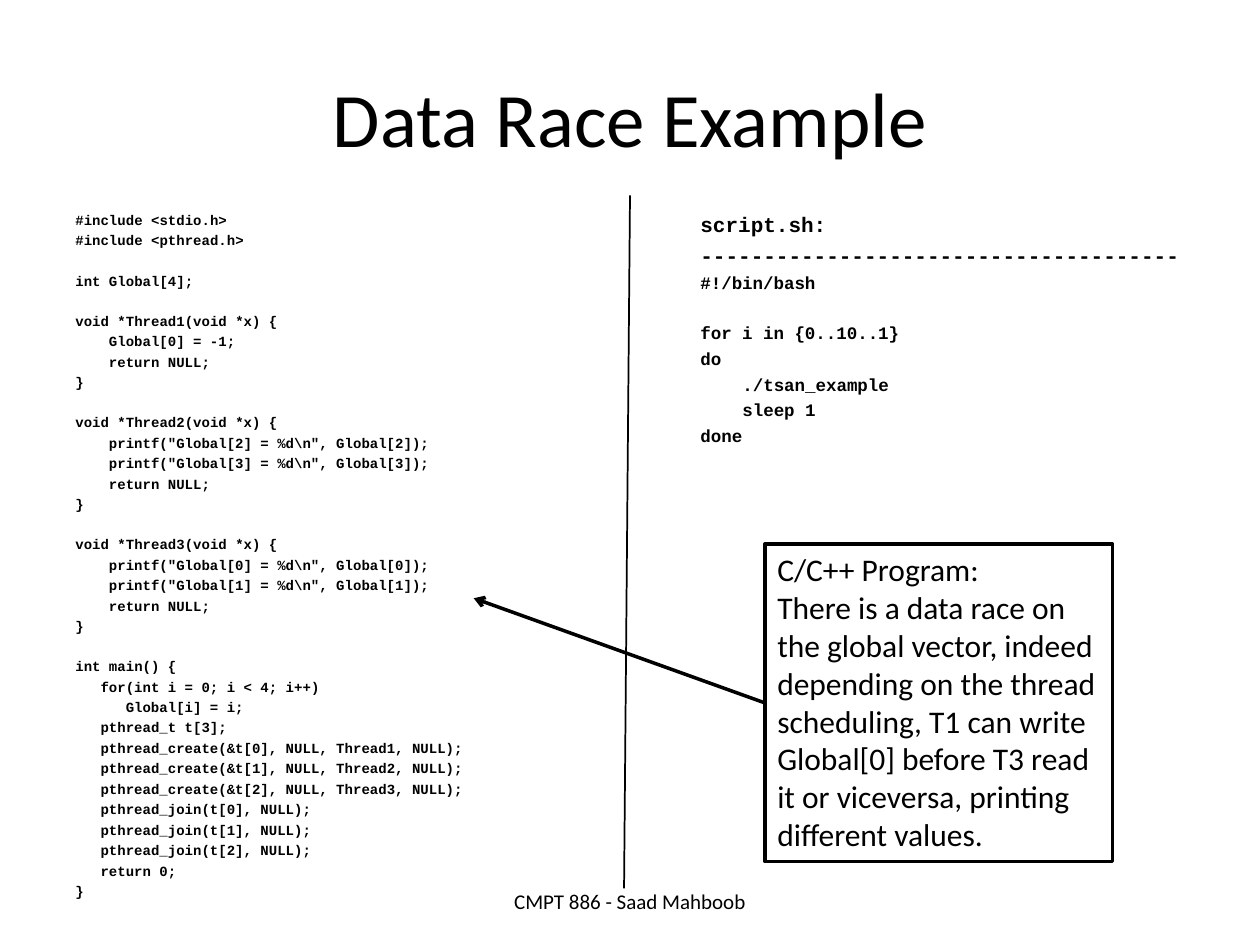
from dataclasses import dataclass
from lxml import etree
from pptx import Presentation
from pptx.dml.color import RGBColor
from pptx.enum.shapes import MSO_CONNECTOR, MSO_SHAPE
from pptx.enum.text import MSO_ANCHOR, MSO_AUTO_SIZE, PP_ALIGN
from pptx.oxml.ns import qn
from pptx.util import Cm, Pt

STRAIGHT = MSO_CONNECTOR.STRAIGHT
RECTANGLE = MSO_SHAPE.RECTANGLE
TOP, MIDDLE = MSO_ANCHOR.TOP, MSO_ANCHOR.MIDDLE
LEFT, CENTER = PP_ALIGN.LEFT, PP_ALIGN.CENTER
GROW = MSO_AUTO_SIZE.SHAPE_TO_FIT_TEXT
LEFT_SITE = 1


@dataclass(frozen=True)
class Theme:
    ink: RGBColor = RGBColor(0, 0, 0)
    prose: str = "Calibri"
    mono: str = "Courier New"
    title: float = 44
    note: float = 18
    footer: float = 12
    script_head: float = 12
    script: float = 10
    program: float = 8
    code_gap: float = 0.265
    code_line: float = 1.133
    code_char: float = 0.6


THEME = Theme()

PROGRAM = r"""#include <stdio.h>
#include <pthread.h>

int Global[4];

void *Thread1(void *x) {
    Global[0] = -1;
    return NULL;
}

void *Thread2(void *x) {
    printf("Global[2] = %d\n", Global[2]);
    printf("Global[3] = %d\n", Global[3]);
    return NULL;
}

void *Thread3(void *x) {
    printf("Global[0] = %d\n", Global[0]);
    printf("Global[1] = %d\n", Global[1]);
    return NULL;
}

int main() {
   for(int i = 0; i < 4; i++)
      Global[i] = i;
   pthread_t t[3];
   pthread_create(&t[0], NULL, Thread1, NULL);
   pthread_create(&t[1], NULL, Thread2, NULL);
   pthread_create(&t[2], NULL, Thread3, NULL);
   pthread_join(t[0], NULL);
   pthread_join(t[1], NULL);
   pthread_join(t[2], NULL);
   return 0;
}"""

SCRIPT_HEAD = "script.sh:\n" + "-" * 38

SCRIPT = """#!/bin/bash

for i in {0..10..1}
do
    ./tsan_example
    sleep 1
done"""

NOTE = (
    "C/C++ Program:",
    "There is a data race on the global vector, indeed depending on the thread "
    "scheduling, T1 can write Global[0] before T3 read it or viceversa, "
    "printing different values.",
)


def add_run(paragraph, text, size, font, bold=False):
    run = paragraph.add_run()
    run.text = text
    run.font.size = Pt(size)
    run.font.name = font
    run.font.bold = bold
    run.font.color.rgb = THEME.ink


def next_paragraph(frame):
    first = frame.paragraphs[0]
    return frame.add_paragraph() if first.runs else first


def add_frame(slide, box, anchor=TOP):
    frame = slide.shapes.add_textbox(*map(Cm, box)).text_frame
    frame.word_wrap = True
    frame.vertical_anchor = anchor
    return frame


def add_centred_line(slide, box, text, size):
    paragraph = add_frame(slide, box, MIDDLE).paragraphs[0]
    paragraph.alignment = CENTER
    add_run(paragraph, text, size, THEME.prose)


def add_code(frame, code, size):
    gap = size * THEME.code_gap
    skipped_line = size * THEME.code_line + gap
    for number, block in enumerate(code.split("\n\n")):
        for row, line in enumerate(block.split("\n")):
            statement = line.lstrip()
            depth = len(line) - len(statement)
            opens_block = number > 0 and row == 0
            paragraph = next_paragraph(frame)
            paragraph.space_before = Pt(gap + skipped_line * opens_block)
            if depth:
                indent = Pt(depth * size * THEME.code_char)
                paragraph._p.get_or_add_pPr().set("marL", str(indent))
            add_run(paragraph, statement, size, THEME.mono, bold=True)


def add_code_panel(slide, box, *sections):
    frame = add_frame(slide, box)
    for code, size in sections:
        add_code(frame, code, size)


def add_line(slide, start, end, width):
    line = slide.shapes.add_connector(STRAIGHT, *map(Cm, start + end))
    line.line.color.rgb = THEME.ink
    line.line.width = Pt(width)
    etree.SubElement(line._element.spPr, qn("a:effectLst"))
    return line


def add_note(slide, box, target):
    note = slide.shapes.add_shape(RECTANGLE, *map(Cm, box))
    note.shadow.inherit = False
    note.fill.background()
    note.line.color.rgb = THEME.ink
    note.line.width = Pt(2)
    frame = note.text_frame
    frame.word_wrap = True
    frame.auto_size = GROW
    frame.vertical_anchor = TOP
    for text in NOTE:
        paragraph = next_paragraph(frame)
        paragraph.alignment = LEFT
        add_run(paragraph, text, THEME.note, THEME.prose)

    left, top, _, height = box
    pointer = add_line(slide, (left, top + height / 2), target, 2)
    pointer.begin_connect(note, LEFT_SITE)
    etree.SubElement(pointer.line._get_or_add_ln(), qn("a:tailEnd"), type="arrow")


def build_slide(slide):
    add_centred_line(slide, (1.27, 0.76, 22.86, 3.18), "Data Race Example", THEME.title)
    add_code_panel(slide, (1.27, 4.14, 11.1, 12.57), (PROGRAM, THEME.program))
    add_code_panel(
        slide,
        (13.87, 4.14, 10.26, 13.77),
        (SCRIPT_HEAD, THEME.script_head),
        (SCRIPT, THEME.script),
    )
    add_line(slide, (12.7, 3.94), (12.58, 17.91), 1)
    add_note(slide, (15.42, 10.97, 7.01, 6.4), (9.55, 12.06))
    add_centred_line(slide, (8.68, 17.65, 8.04, 1.02), "CMPT 886 - Saad Mahboob", THEME.footer)


deck = Presentation()
deck.slide_width, deck.slide_height = Cm(25.4), Cm(19.05)
build_slide(deck.slides.add_slide(deck.slide_layouts[6]))
deck.save("out.pptx")
